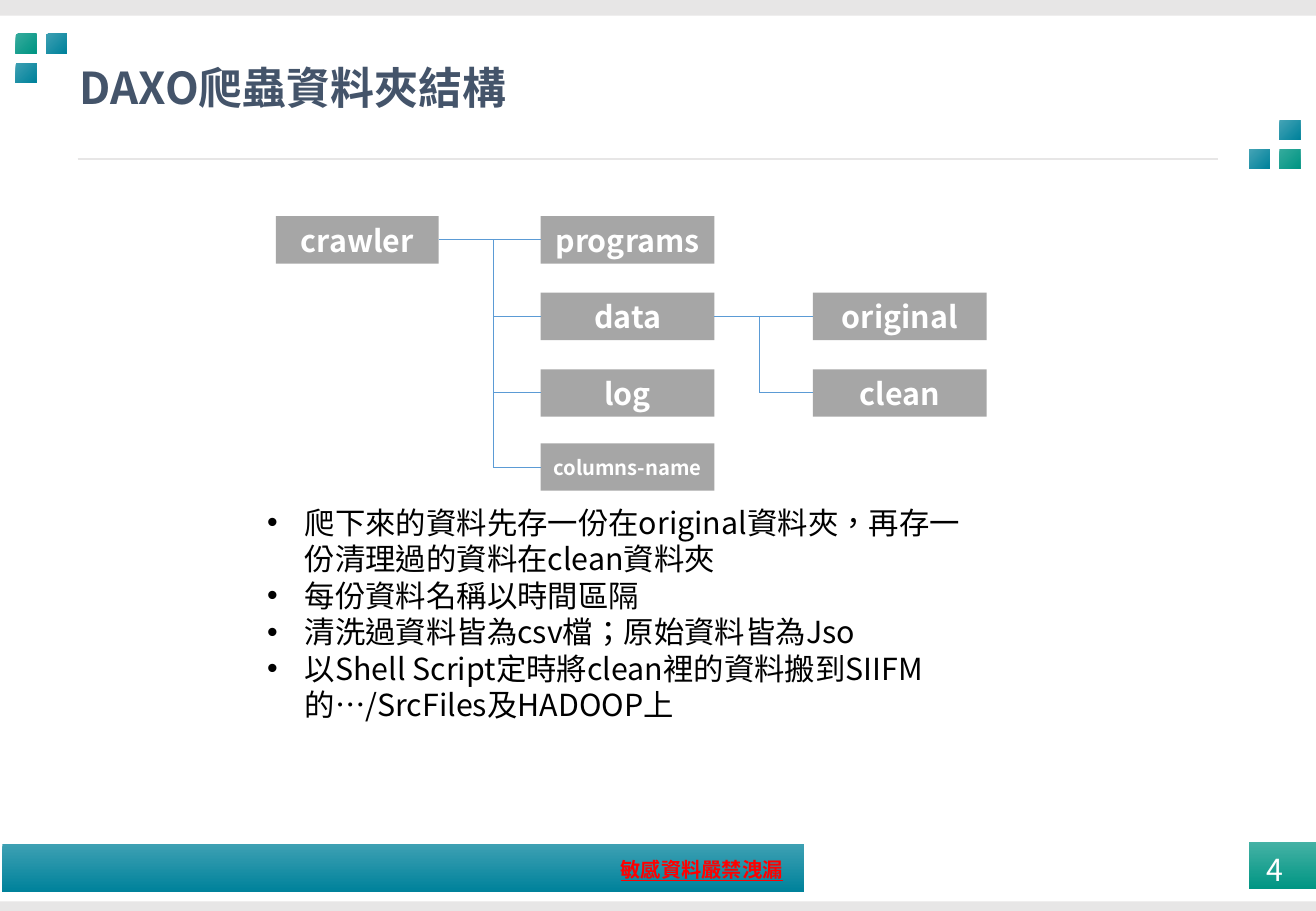
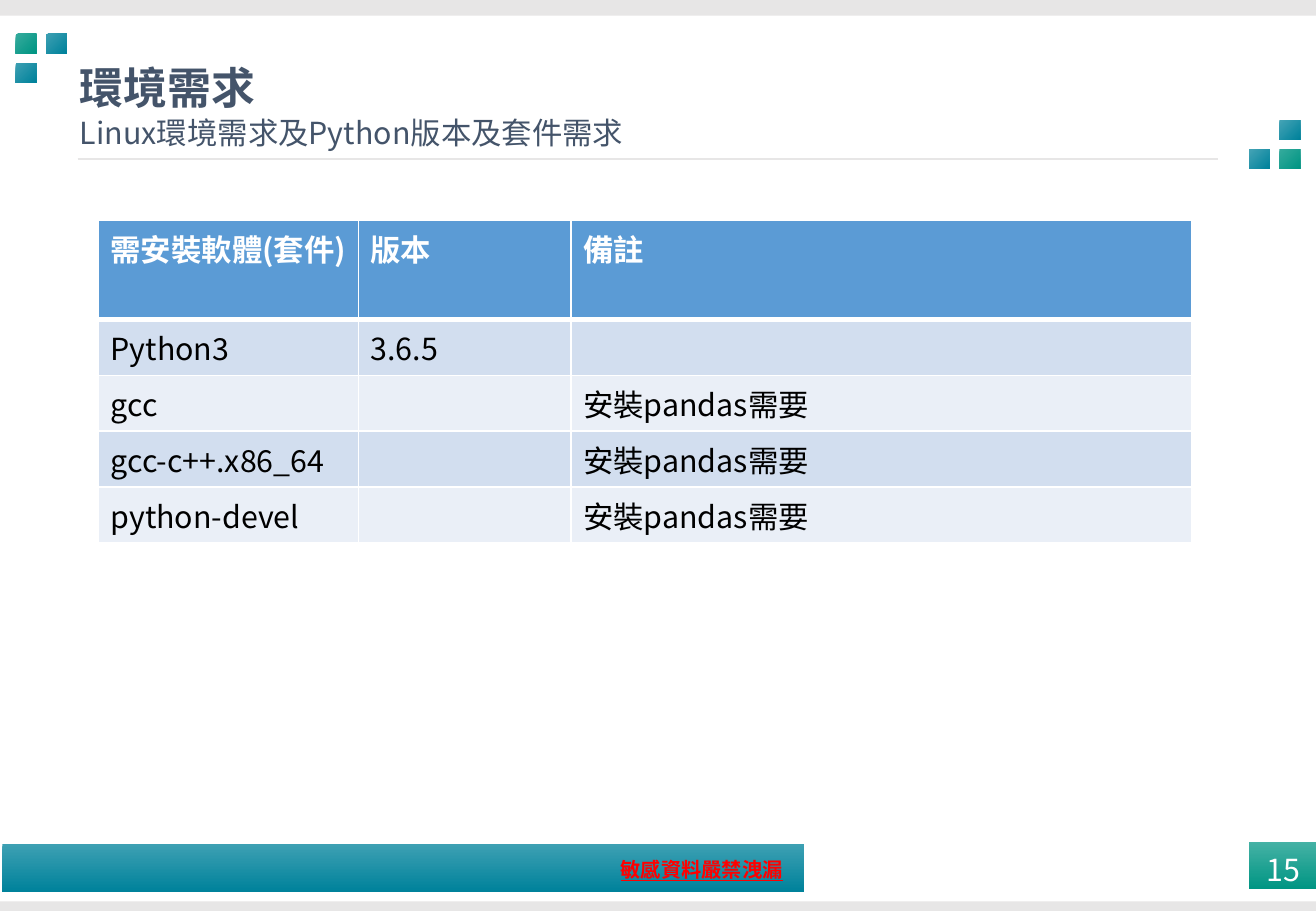
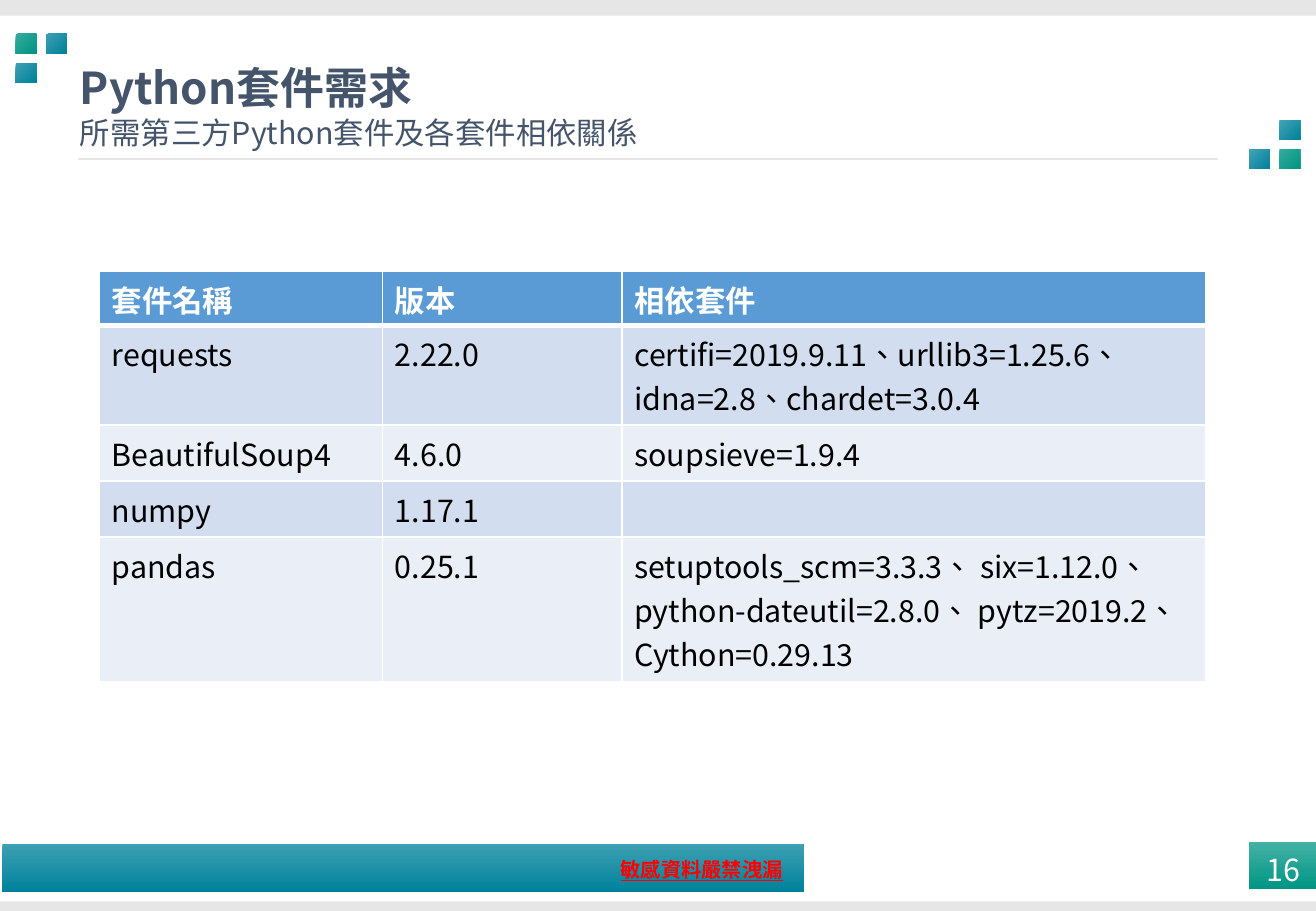
from lxml.etree import SubElement
from pptx import Presentation
from pptx.dml.color import RGBColor
from pptx.enum.lang import MSO_LANGUAGE_ID as LANG
from pptx.enum.shapes import MSO_CONNECTOR, MSO_SHAPE
from pptx.enum.text import MSO_ANCHOR as ANCHOR, PP_ALIGN as ALIGN
from pptx.oxml.ns import qn
from pptx.util import Inches, Pt

FONT = "Noto Sans CJK SC"
WHITE, BLACK, RED = "FFFFFF", "000000", "FF0000"
SLATE, PALE, GREY, BLUE = "44546A", "E7E6E6", "A6A6A6", "5B9BD5"
ROW_FILLS = ("D2DEEF", "EAEFF7")
TEAL, LIGHT_TEAL = ("3DA0B3", "00829B"), ("45A4B6", "00829B")
GREEN, LIGHT_GREEN = ("35AB9D", "009583"), ("45B2A5", "009583")
LEFT, RIGHT = 1, 3
WIDTH, HEIGHT = 10.83, 7.5

CORNER_SQUARES = (
    (0.13, 0.52, TEAL), (0.38, 0.28, TEAL), (0.13, 0.28, GREEN),
    (10.28, 1.23, LIGHT_TEAL), (10.53, 0.99, LIGHT_TEAL), (10.53, 1.23, GREEN),
)
FOLDER_ROWS = (1.78, 2.41, 3.04, 3.65)
FOLDER_HEIGHT = 0.39

NOTES = (
    "爬下來的資料先存一份在original資料夾，再存一份清理過的資料在clean資料夾",
    "每份資料名稱以時間區隔",
    "清洗過資料皆為csv檔；原始資料皆為Jso",
    "以Shell Script定時將clean裡的資料搬到SIIFM的…/SrcFiles及HADOOP上",
)
ENVIRONMENT = (
    ("需安裝軟體(套件)", "版本", "備註"),
    ("Python3", "3.6.5", ""),
    ("gcc", "", "安裝pandas需要"),
    ("gcc-c++.x86_64", "", "安裝pandas需要"),
    ("python-devel", "", "安裝pandas需要"),
)
PACKAGES = (
    ("套件名稱", "版本", "相依套件"),
    ("requests", "2.22.0", "certifi=2019.9.11、urllib3=1.25.6、idna=2.8、chardet=3.0.4"),
    ("BeautifulSoup4", "4.6.0", "soupsieve=1.9.4"),
    ("numpy", "1.17.1", ""),
    ("pandas", "0.25.1",
     "setuptools_scm=3.3.3、 six=1.12.0、 python-dateutil=2.8.0、 pytz=2019.2、 Cython=0.29.13"),
)


def color(hex_string):
    return RGBColor.from_string(hex_string)


def style_paragraph(paragraph, size, hex_color, bold=False, underline=False):
    for run in paragraph.runs:
        font = run.font
        font.name, font.size, font.bold = FONT, Pt(size), bold
        font.color.rgb = color(hex_color)
        font.language_id = LANG.TRADITIONAL_CHINESE
        if underline:
            font.underline = True
        SubElement(font._element, qn("a:ea"), typeface=FONT)


def indent(paragraph, inches, bullet=None):
    """Hang the first line back by the paragraph's own left margin."""
    properties = paragraph._p.get_or_add_pPr()
    properties.set("marL", str(Inches(inches)))
    properties.set("indent", str(-Inches(inches)))
    if bullet:
        SubElement(properties, qn("a:buFont"), typeface="Arial")
        SubElement(properties, qn("a:buChar"), char=bullet)


def add_text(slide, box, text, size, hex_color, spacing=None, **style):
    frame = slide.shapes.add_textbox(*map(Inches, box)).text_frame
    frame.word_wrap = True
    frame.text = text
    for paragraph in frame.paragraphs:
        if spacing:
            paragraph.line_spacing = spacing
        style_paragraph(paragraph, size, hex_color, **style)
    return frame


def add_rect(slide, box, fill, angle=90):
    """Fill with one colour, or with a pair as a gradient turned clockwise."""
    rect = slide.shapes.add_shape(MSO_SHAPE.RECTANGLE, *map(Inches, box))
    rect.shadow.inherit = False
    rect.line.fill.background()
    if isinstance(fill, str):
        rect.fill.solid()
        rect.fill.fore_color.rgb = color(fill)
    else:
        rect.fill.gradient()
        rect.fill.gradient_angle = 360 - angle
        for stop, hex_color in zip(rect.fill.gradient_stops, fill):
            stop.color.rgb = color(hex_color)
    return rect


def add_line(slide, start, end, hex_color, width):
    line = slide.shapes.add_connector(
        MSO_CONNECTOR.STRAIGHT, *map(Inches, (*start, *end)))
    line.line.color.rgb = color(hex_color)
    line.line.width = Pt(width)
    SubElement(line._element.spPr, qn("a:effectLst"))
    return line


def add_content_slide(deck, number, title, subtitle=None):
    slide = deck.slides.add_slide(deck.slide_layouts[6])
    add_rect(slide, (0, 0, WIDTH, 0.13), PALE)
    add_rect(slide, (0.02, 6.95, 6.6, 0.39), TEAL)
    add_rect(slide, (0, 7.42, WIDTH, 0.08), PALE)
    for left, top, shades in CORNER_SQUARES:
        add_rect(slide, (left, top, 0.17, 0.16), shades, angle=45)
    add_line(slide, (0.64, 1.31), (10.02, 1.31), PALE, 0.75)

    add_rect(slide, (10.28, 6.93, 0.56, 0.39), LIGHT_GREEN)
    page = add_text(slide, (10.42, 7.01, 0.29, 0.29), str(number), 18, WHITE)
    page.margin_left = page.margin_top = page.margin_right = page.margin_bottom = 0
    page.word_wrap = False
    warning = add_text(slide, (5.01, 7.01, 1.95, 0.3), "敏感資料嚴禁洩漏", 12, RED,
                       bold=True, underline=True)
    indent(warning.paragraphs[0], 0.25)

    heading = add_text(slide, (0.56, 0.49, 9.63, 0.51), title, 26, SLATE,
                       spacing=0.9, bold=True)
    heading.vertical_anchor = ANCHOR.MIDDLE
    if subtitle:
        add_text(slide, (0.56, 0.95, 9.63, 0.35), subtitle, 18, SLATE, spacing=0.8)
    return slide


def add_folder(slide, name, left, row, width=1.43, size=18):
    folder = add_rect(slide, (left, FOLDER_ROWS[row], width, FOLDER_HEIGHT), GREY)
    frame = folder.text_frame
    frame.text = name
    frame.vertical_anchor = ANCHOR.MIDDLE
    frame.paragraphs[0].alignment = ALIGN.CENTER
    style_paragraph(frame.paragraphs[0], size, WHITE, bold=True)
    return folder


def link_folders(slide, parent, children, trunk):
    """Join parent to its first child, and the others through a vertical trunk."""
    def middle(folder):
        return (folder.top + folder.height / 2) / Inches(1)

    first, *others = children
    start = ((parent.left + parent.width) / Inches(1), middle(parent))
    line = add_line(slide, start, (first.left / Inches(1), middle(first)), BLUE, 0.5)
    line.begin_connect(parent, RIGHT)
    line.end_connect(first, LEFT)
    add_line(slide, (trunk, middle(parent)), (trunk, middle(others[-1])), BLUE, 0.5)
    for child in others:
        y = middle(child)
        branch = add_line(slide, (trunk, y), (child.left / Inches(1), y), BLUE, 0.5)
        branch.end_connect(child, LEFT)


def set_borders(cell, **widths):
    properties = cell._tc.get_or_add_tcPr()
    for side in "LRTB":
        line = SubElement(properties, qn(f"a:ln{side}"), w=str(Pt(widths.get(side, 1))))
        fill = SubElement(line, qn("a:solidFill"))
        SubElement(fill, qn("a:srgbClr"), val=WHITE)


def add_grid(slide, left, top, columns, heights, rows):
    table = slide.shapes.add_table(
        len(rows), len(columns),
        *map(Inches, (left, top, sum(columns), sum(heights)))).table
    for column, width in zip(table.columns, columns):
        column.width = Inches(width)
    for r, (texts, height) in enumerate(zip(rows, heights)):
        table.rows[r].height = Inches(height)
        header = r == 0
        for c, text in enumerate(texts):
            cell = table.cell(r, c)
            set_borders(cell, B=3 if header else 1, T=3 if r == 1 else 1)
            cell.fill.solid()
            cell.fill.fore_color.rgb = color(BLUE if header else ROW_FILLS[(r - 1) % 2])
            paragraph = cell.text_frame.paragraphs[0]
            if text:
                paragraph.text = text
                style_paragraph(paragraph, 18, WHITE if header else BLACK, bold=header)
            else:
                paragraph.font.size = Pt(18)


def add_folder_slide(deck):
    slide = add_content_slide(deck, 4, "DAXO爬蟲資料夾結構")
    crawler = add_folder(slide, "crawler", 2.27, 0, width=1.34)
    programs, data, log = [
        add_folder(slide, name, 4.45, row)
        for row, name in enumerate(("programs", "data", "log"))]
    columns_name = add_folder(slide, "columns-name", 4.45, 3, size=12)
    data_folders = [add_folder(slide, name, 6.69, row)
                    for row, name in enumerate(("original", "clean"), start=1)]
    link_folders(slide, crawler, (programs, data, log, columns_name), trunk=4.06)
    link_folders(slide, data, data_folders, trunk=6.25)

    notes = add_text(slide, (2.1, 4.1, 6.11, 1.92), "\n".join(NOTES), 18, BLACK)
    for paragraph in notes.paragraphs:
        indent(paragraph, 0.31, bullet="•")


def main():
    deck = Presentation()
    deck.slide_width, deck.slide_height = Inches(WIDTH), Inches(HEIGHT)

    add_folder_slide(deck)
    environment = add_content_slide(deck, 15, "環境需求", "Linux環境需求及Python版本及套件需求")
    add_grid(environment, 0.81, 1.81, (2.14, 1.75, 5.11),
             (0.82, 0.46, 0.46, 0.46, 0.46), ENVIRONMENT)
    packages = add_content_slide(deck, 16, "Python套件需求", "所需第三方Python套件及各套件相依關係")
    add_grid(packages, 0.82, 2.23, (2.33, 1.97, 4.8),
             (0.45, 0.82, 0.46, 0.46, 1.19), PACKAGES)

    deck.save("out.pptx")


if __name__ == "__main__":
    main()
